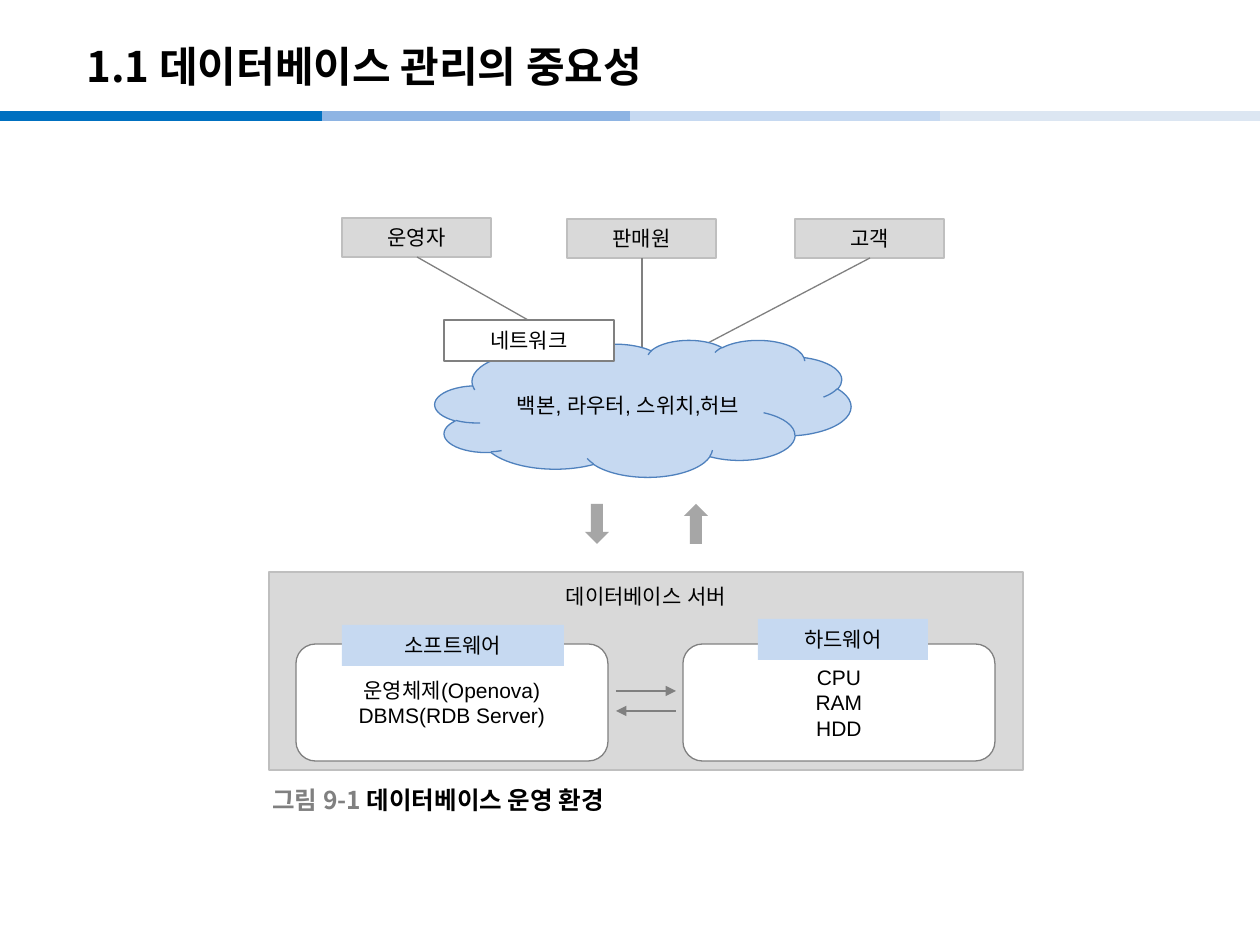
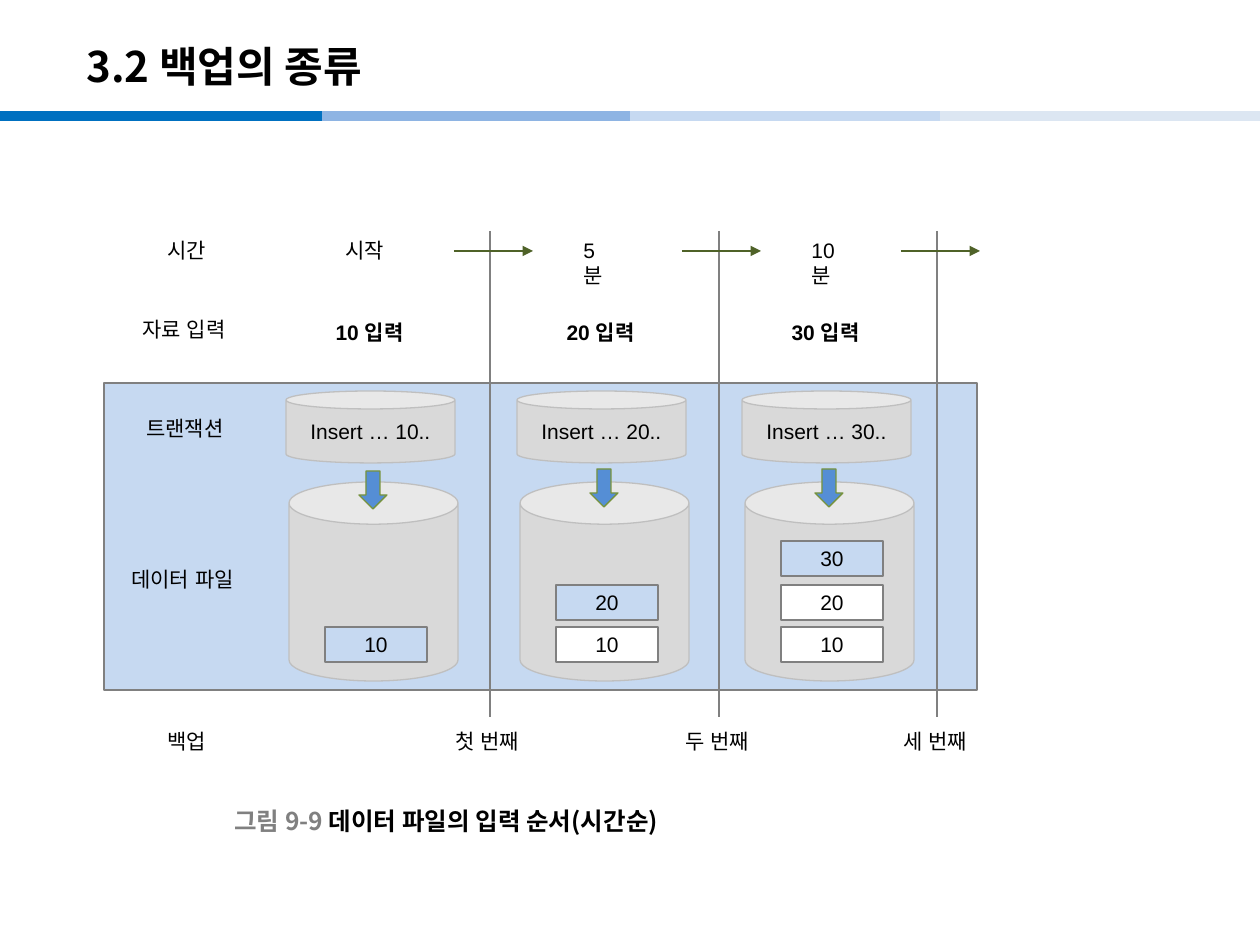
from lxml.etree import SubElement
from pptx import Presentation
from pptx.dml.color import RGBColor
from pptx.enum.shapes import MSO_CONNECTOR, MSO_SHAPE
from pptx.enum.text import MSO_ANCHOR, PP_ALIGN
from pptx.oxml.ns import qn
from pptx.util import Emu, Pt

SCALE = 914400 / 126  # EMU per px
BODY, HEADING = "Arial", "Noto Sans CJK KR"
BLACK, WHITE, GRAY = "000000", "FFFFFF", "808080"
PALE_GRAY, EDGE_GRAY, ARROW_GRAY = "D9D9D9", "BFBFBF", "A6A6A6"
PALE_BLUE, CLOUD_EDGE, ARROW_BLUE = "C6D9F1", "4F81BD", "558ED5"
GREEN, DARK_GREEN = "77933C", "4F6228"
BANDS = [(0, 322, "0070C0"), (322, 645, "8EB4E3"),
         (630, 952, PALE_BLUE), (940, 1260, "DCE6F2")]
paint = RGBColor.from_string


def draw(page, kind, frame, paragraphs=(), fill=None, line=None, weight=0.75,
         font=BODY, size=12, bold=False, anchor=MSO_ANCHOR.MIDDLE):
    """Add a preset shape, or a left-aligned text box when kind is None.

    Each paragraph is a list of (text, colour) runs.
    """
    frame = [Emu(round(n * SCALE)) for n in frame]
    if kind is None:
        box = page.shapes.add_textbox(*frame)
    else:
        box = page.shapes.add_shape(kind, *frame)
        box.shadow.inherit = False
        if fill:
            box.fill.solid()
            box.fill.fore_color.rgb = paint(fill)
        if line:
            box.line.color.rgb = paint(line)
            box.line.width = Pt(weight)
        else:
            box.line.fill.background()
    text_frame = box.text_frame
    text_frame.word_wrap = True
    text_frame.vertical_anchor = anchor
    for number, runs in enumerate(paragraphs):
        para = text_frame.add_paragraph() if number else text_frame.paragraphs[0]
        para.alignment = PP_ALIGN.LEFT if kind is None else PP_ALIGN.CENTER
        for text, color in runs:
            span = para.add_run()
            span.text = text
            span.font.name, span.font.size, span.font.bold = font, Pt(size), bold
            span.font.color.rgb = paint(color)
            SubElement(span.font._element, qn("a:ea")).set("typeface", font)
    return box


def connect(page, start, end, color, weight=0.75, arrow=False):
    """Add a straight line, with an arrowhead at its end if asked for."""
    ends = [Emu(round(n * SCALE)) for n in (*start, *end)]
    link = page.shapes.add_connector(MSO_CONNECTOR.STRAIGHT, *ends)
    link.line.color.rgb = paint(color)
    link.line.width = Pt(weight)
    if arrow:
        SubElement(link.line._get_or_add_ln(), qn("a:tailEnd")).set("type", "triangle")
    SubElement(link._element.spPr, qn("a:effectLst"))


deck = Presentation()
deck.slide_width, deck.slide_height = Emu(round(1260 * SCALE)), Emu(round(945 * SCALE))

# Bands, title and figure caption of every page
pages = []
for title, figure, caption, caption_left, caption_top in [
    ("1.1 데이터베이스 관리의 중요성", "그림 9-1 ", "데이터베이스 운영 환경", 260, 780),
    ("3.2 백업의 종류", "그림 9-9 ", "데이터 파일의 입력 순서(시간순)", 222, 801),
]:
    page = deck.slides.add_slide(deck.slide_layouts[6])
    for left, right, color in BANDS:
        connect(page, (left, 116), (right, 116), color, 6)
    draw(page, None, (74, 28, 1042, 76), [[(title, BLACK)]],
         font=HEADING, size=24, bold=True)
    draw(page, None, (caption_left, caption_top, 520, 39),
         [[(figure, GRAY), (caption, BLACK)]], font=HEADING, size=14, bold=True)
    pages.append(page)
environment, backup = pages

# Page 1: users and their links to the network
for user, left, top, link_end in [
    ("운영자", 342, 218, (528, 320)),
    ("판매원", 567, 219, (642, 348)),
    ("고객", 795, 219, (706, 344)),
]:
    draw(environment, MSO_SHAPE.RECTANGLE, (left, top, 149, 39), [[(user, BLACK)]],
         PALE_GRAY, EDGE_GRAY)
    connect(environment, (left + 75, top + 39), link_end, GRAY)

# Network cloud and its label
draw(environment, MSO_SHAPE.CLOUD, (435, 340, 416, 137),
     [[("백본, 라우터, 스위치,허브", BLACK)]], PALE_BLUE, CLOUD_EDGE)
draw(environment, MSO_SHAPE.RECTANGLE, (444, 320, 170, 41),
     [[("네트워크", BLACK)]], WHITE, GRAY)

# Traffic between network and server
for kind, left in [(MSO_SHAPE.DOWN_ARROW, 585), (MSO_SHAPE.UP_ARROW, 684)]:
    draw(environment, kind, (left, 504, 24, 40), fill=ARROW_GRAY)

# Database server with software and hardware
server = draw(environment, MSO_SHAPE.FLOWCHART_PROCESS, (269, 572, 754, 198),
              [[("데이터베이스 서버", BLACK)]], PALE_GRAY, EDGE_GRAY,
              anchor=MSO_ANCHOR.TOP)
server.text_frame.margin_top = Emu(round(11 * SCALE))
for part, left, label_frame, contents in [
    ("소프트웨어", 296, (342, 625, 222, 41), ["운영체제(Openova)", "DBMS(RDB Server)"]),
    ("하드웨어", 683, (758, 619, 170, 41), ["CPU", "RAM", "HDD"]),
]:
    draw(environment, MSO_SHAPE.ROUNDED_RECTANGLE, (left, 644, 312, 117),
         [[(item, BLACK)] for item in contents], WHITE, GRAY)
    draw(environment, MSO_SHAPE.RECTANGLE, label_frame, [[(part, BLACK)]], PALE_BLUE)
for start, end, y in [(616, 676, 691), (676, 616, 711)]:
    connect(environment, (start, y), (end, y), GRAY, arrow=True)

# Page 2: panel behind the transactions and data files
draw(backup, MSO_SHAPE.RECTANGLE, (104, 383, 873, 307),
     fill=PALE_BLUE, line=GRAY, weight=1)

# One stage per insert: transaction, data file, stored values
for stage, (left, arrow_top) in enumerate([(286, 471), (517, 469), (742, 469)], 1):
    value = stage * 10
    draw(backup, MSO_SHAPE.RECTANGLE, (left + 33, 310, 101, 44),
         [[(f"{value} 입력", BLACK)]], WHITE, bold=True)
    draw(backup, MSO_SHAPE.CAN, (left, 391, 169, 72),
         [[(f"Insert … {value}..", BLACK)]], PALE_GRAY, EDGE_GRAY)
    draw(backup, MSO_SHAPE.CAN, (left + 3, 482, 169, 199),
         fill=PALE_GRAY, line=EDGE_GRAY)
    for row, top in enumerate([627, 585, 541][:stage], 1):
        draw(backup, MSO_SHAPE.RECTANGLE, (left + 39, top, 102, 35),
             [[(str(row * 10), BLACK)]], PALE_BLUE if row == stage else WHITE, GRAY)
    draw(backup, MSO_SHAPE.DOWN_ARROW, (left + 73, arrow_top, 28, 38),
         fill=ARROW_BLUE, line=GREEN)

# Backup moments and time arrows
for x, arrow_left in [(490, 454), (719, 682), (937, 901)]:
    connect(backup, (x, 231), (x, 717), GRAY)
    connect(backup, (arrow_left, 251), (arrow_left + 79, 251), DARK_GREEN, arrow=True)

# Row names, times and backup names
for label, left, top, width in [
    ("시간", 155, 231, 68), ("자료 입력", 130, 310, 117),
    ("트랜잭션", 134, 409, 111), ("데이터 파일", 119, 560, 139),
    ("백업", 155, 722, 68),
    ("시작", 333, 231, 68), ("5분", 571, 231, 54), ("10분", 799, 231, 62),
    ("첫 번째", 443, 722, 97), ("두 번째", 673, 722, 97), ("세 번째", 891, 722, 97),
]:
    draw(backup, None, (left, top, width, 38), [[(label, BLACK)]],
         anchor=MSO_ANCHOR.TOP)

deck.save("out.pptx")
